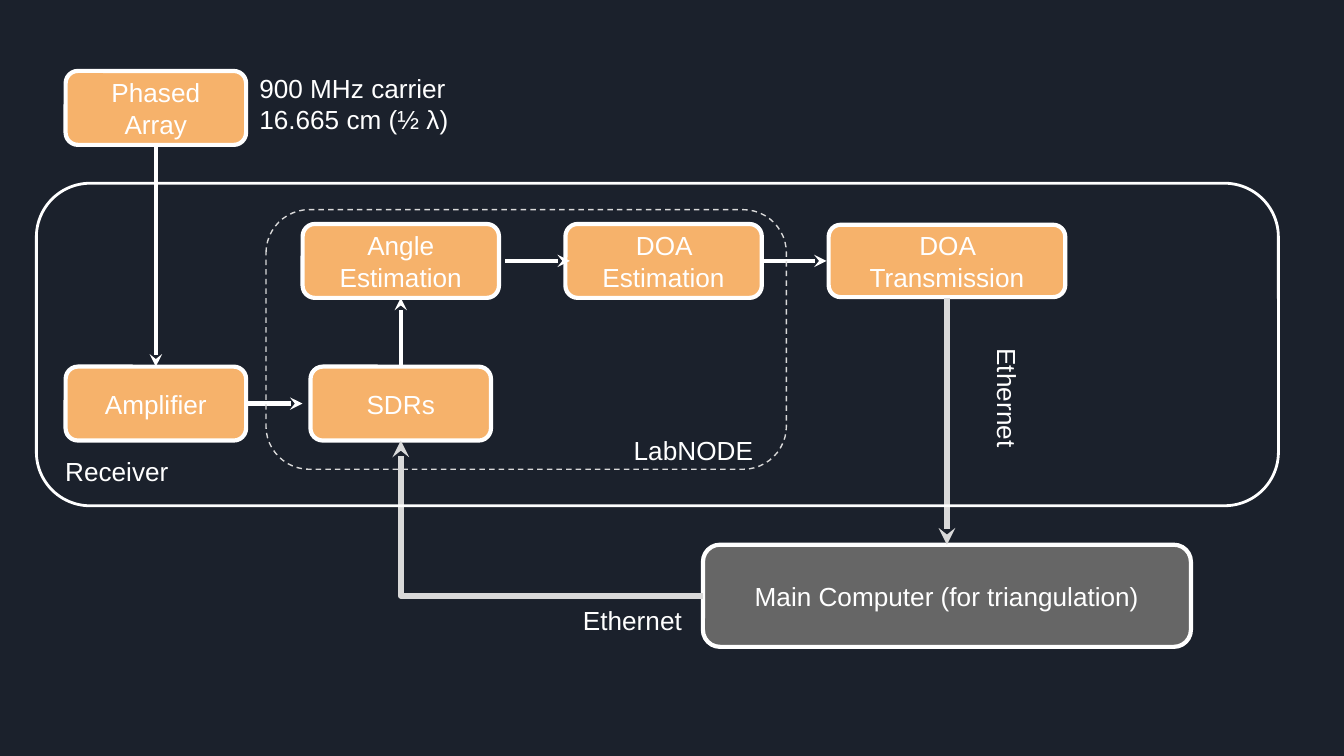
from lxml import etree
from pptx import Presentation
from pptx import util as u
from pptx.dml.color import RGBColor
from pptx.enum import dml, shapes, text
from pptx.oxml.ns import qn

NAVY = RGBColor(0x1B, 0x21, 0x2C)
ORANGE = RGBColor(0xF6, 0xB2, 0x6B)
GRAY = RGBColor(0x66, 0x66, 0x66)
SILVER = RGBColor(0xD9, 0xD9, 0xD9)
WHITE = RGBColor(0xFF, 0xFF, 0xFF)

COL_RF, COL_SDR, COL_DOA, COL_OUT = 83.5, 214.7, 355.5, 507.3
ROW_ARRAY, ROW_DOA, ROW_SDR, ROW_PC = 57.8, 139.8, 216.2, 319.2
BOX_H = 39.6
HALF = BOX_H / 2

# label, centre x, centre y, width, height, fill
BOXES = [
    ("Phased Array", COL_RF, ROW_ARRAY, 96.7, BOX_H, ORANGE),
    ("Angle Estimation", COL_SDR, ROW_DOA, 105.2, BOX_H, ORANGE),
    ("DOA Estimation", COL_DOA, ROW_DOA, 105.2, BOX_H, ORANGE),
    ("DOA Transmission", COL_OUT, ROW_DOA, 126.8, 38.8, ORANGE),
    ("Amplifier", COL_RF, ROW_SDR, 96.7, BOX_H, ORANGE),
    ("SDRs", COL_SDR, ROW_SDR, 96.7, BOX_H, ORANGE),
    ("Main Computer (for triangulation)", COL_OUT, ROW_PC, 261.4, 54.7, GRAY),
]
# left, top, width, height, line colour, line width, dash
FRAMES = [
    (142.5, 112.3, 278.8, 139.1, SILVER, 0.75, dml.MSO_LINE.DASH),
    (19.5, 98.2, 665.4, 172.8, WHITE, 1.5, None),
]
# paragraphs, left, top, width, height, alignment, rotation
LABELS = [
    (["900 MHz carrier", "16.665 cm (½ λ)"], 131.8, 31.6, 146, 47, "LEFT", 0),
    (["Ethernet"], 500.4, 197.2, 72.6, 37.4, "LEFT", 90),
    (["Ethernet"], 305.2, 316.8, 72.6, 37.4, "LEFT", 0),
    (["LabNODE"], 320, 225.3, 90.5, 30, "RIGHT", 0),
    (["Receiver"], 27.8, 236.6, 90, 30, "LEFT", 0),
]
# start x, start y, end x, end y, colour, width
ARROWS = [
    (270.7, ROW_DOA, 305.3, ROW_DOA, WHITE, 2.25),
    (408.2, ROW_DOA, 442.8, ROW_DOA, WHITE, 2.25),
    (COL_RF, ROW_ARRAY + HALF, COL_RF, ROW_SDR - HALF, WHITE, 2.25),
    (131.8, ROW_SDR, 162, ROW_SDR, WHITE, 2.25),
    (COL_SDR, ROW_SDR - HALF, COL_SDR, ROW_DOA + HALF, WHITE, 2.25),
    (COL_OUT, ROW_DOA + HALF, COL_OUT, 291.8, SILVER, 3),
]
RETURN = (COL_SDR, ROW_SDR + HALF, 376.6, ROW_PC, SILVER, 3)

FONT = {"name": "Arial", "size": u.Pt(14)}
FRAME = {"word_wrap": True, "margin_left": u.Pt(7.2), "margin_right": u.Pt(7.2),
         "margin_top": u.Pt(7.2), "margin_bottom": u.Pt(7.2)}


def apply(obj, values):
    for key, value in values.items():
        setattr(obj, key, value)


def write(sp, lines, align, anchor):
    tf = sp.text_frame
    apply(tf, {**FRAME, "vertical_anchor": anchor})
    for i, line in enumerate(lines):
        p = tf.add_paragraph() if i else tf.paragraphs[0]
        p.alignment = align
        r = p.add_run()
        r.text = line
        apply(r.font, FONT)
        r.font.color.rgb = WHITE


def rounded(s, x, y, w, h, color, width, fill=None, dash=None):
    sp = s.shapes.add_shape(shapes.MSO_SHAPE.ROUNDED_RECTANGLE,
                            *map(u.Pt, (x, y, w, h)))
    sp.shadow.inherit = False
    sp.line.color.rgb = color
    apply(sp.line, {"width": u.Pt(width), "dash_style": dash})
    if fill is None:
        sp.fill.background()
    else:
        sp.fill.solid()
        sp.fill.fore_color.rgb = fill
    return sp


def arrow(s, x1, y1, x2, y2, color, width, kind=shapes.MSO_CONNECTOR.STRAIGHT):
    c = s.shapes.add_connector(kind, *map(u.Pt, (x1, y1, x2, y2)))
    c.line.color.rgb = color
    c.line.width = u.Pt(width)
    etree.SubElement(c.line._get_or_add_ln(), qn("a:tailEnd"), type="stealth")
    etree.SubElement(c._element.spPr, qn("a:effectLst"))
    return c


def main():
    prs = Presentation()
    prs.slide_width, prs.slide_height = u.Pt(720), u.Pt(405)
    s = prs.slides.add_slide(prs.slide_layouts[6])
    s.background.fill.solid()
    s.background.fill.fore_color.rgb = NAVY

    for label, cx, cy, w, h, fill in BOXES:
        sp = rounded(s, cx - w / 2, cy - h / 2, w, h, WHITE, 2.25, fill)
        write(sp, [label], text.PP_ALIGN.CENTER, text.MSO_ANCHOR.MIDDLE)

    for a in ARROWS:
        arrow(s, *a)
    c = arrow(s, *RETURN, kind=shapes.MSO_CONNECTOR.ELBOW)
    c._element.spPr.find(qn("a:prstGeom")).set("prst", "bentConnector2")
    c._element.spPr.find(qn("a:xfrm")).set("rot", str(180 * 60000))

    for x, y, w, h, color, width, dash in FRAMES:
        rounded(s, x, y, w, h, color, width, dash=dash)

    for lines, x, y, w, h, align, rotation in LABELS:
        sp = s.shapes.add_textbox(*map(u.Pt, (x, y, w, h)))
        sp.rotation = rotation
        write(sp, lines, text.PP_ALIGN[align], text.MSO_ANCHOR.TOP)

    prs.save("out.pptx")


if __name__ == "__main__":
    main()
